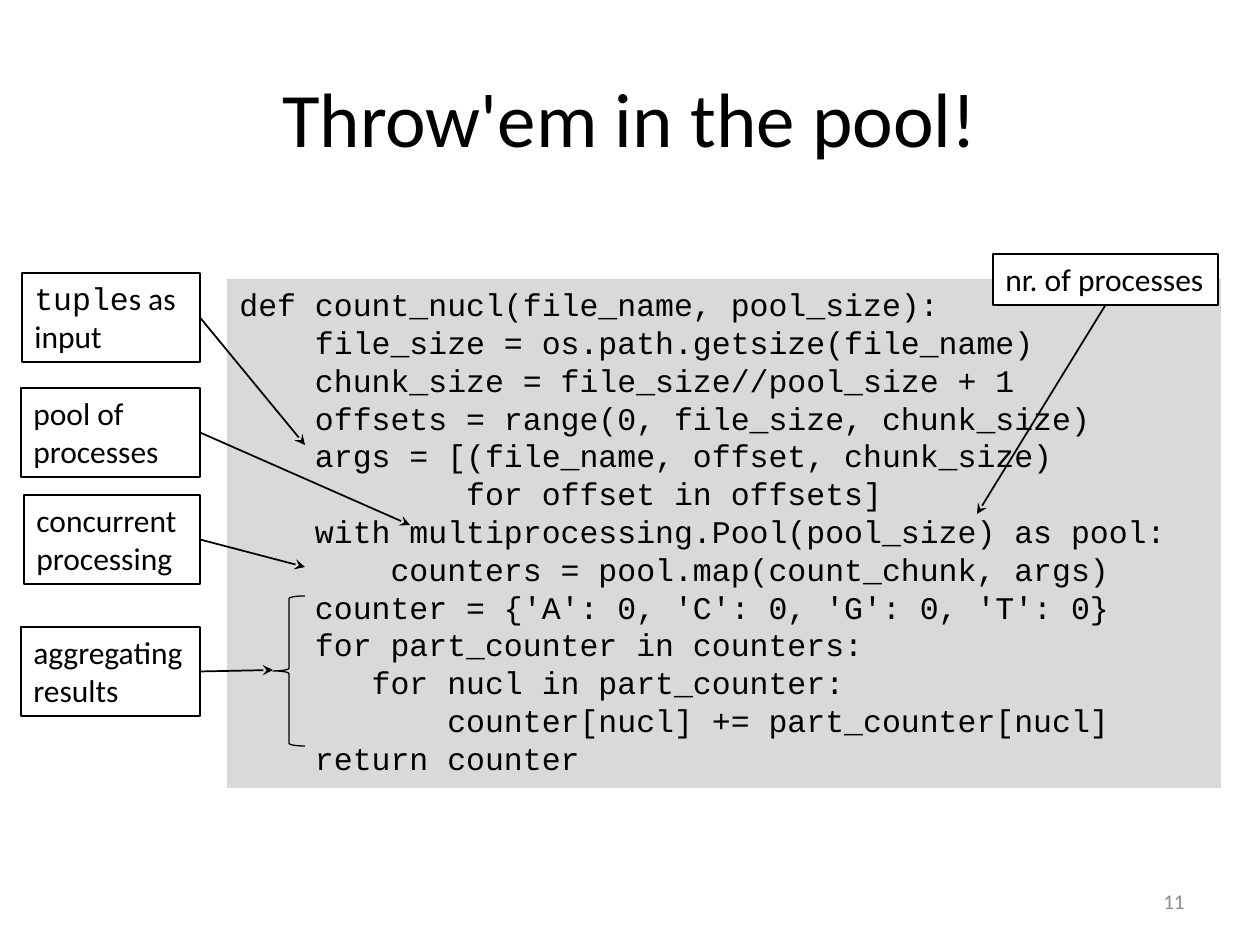
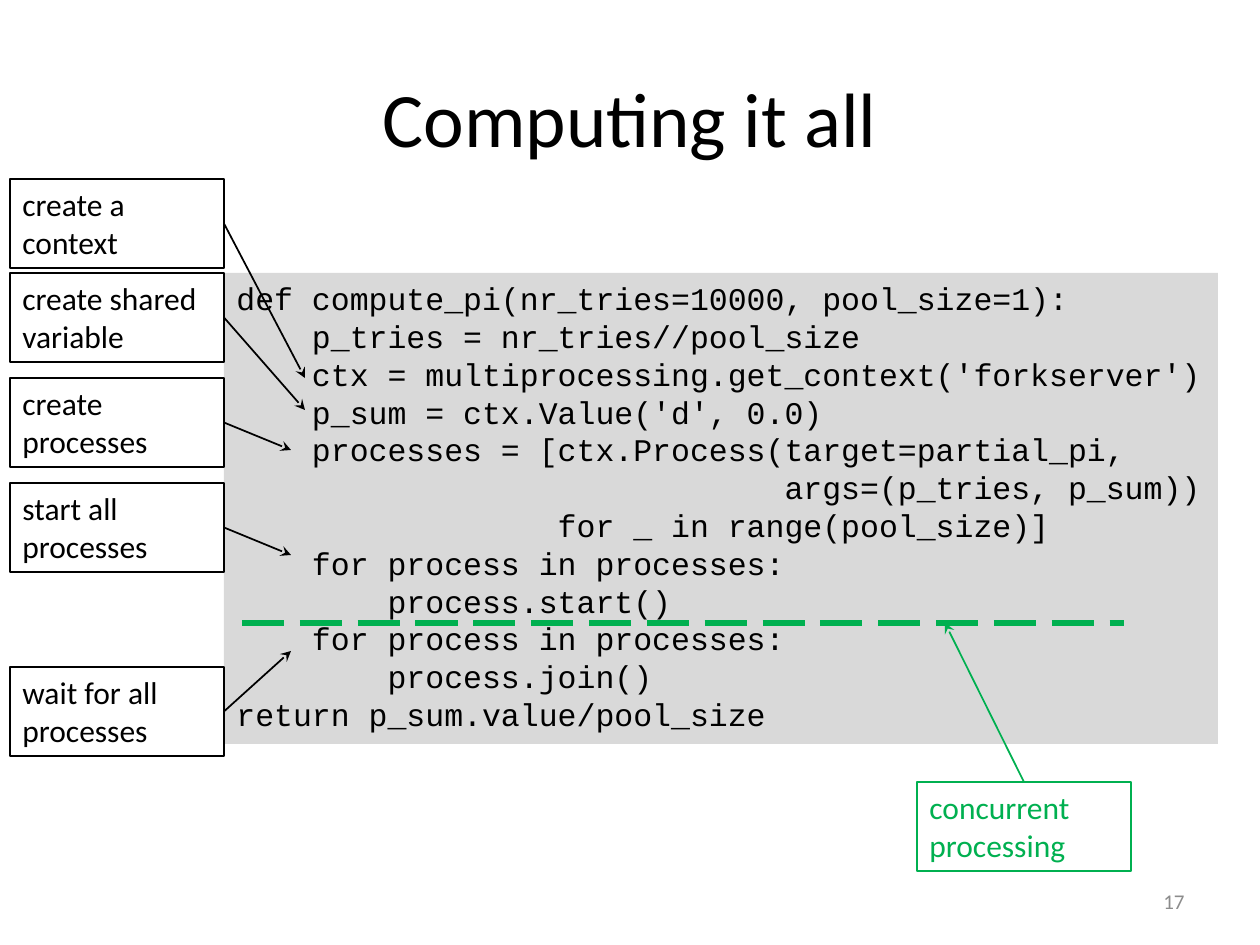
from lxml.etree import SubElement
from pptx import Presentation
from pptx.dml.color import RGBColor
from pptx.enum.dml import MSO_LINE
from pptx.enum.shapes import MSO_CONNECTOR, MSO_SHAPE
from pptx.enum.text import MSO_ANCHOR, MSO_AUTO_SIZE, PP_ALIGN
from pptx.oxml.ns import qn
from pptx.util import Emu, Pt

BLACK = RGBColor(0x00, 0x00, 0x00)
WHITE = RGBColor(0xFF, 0xFF, 0xFF)
GREEN = RGBColor(0x00, 0xB0, 0x50)
PANEL = RGBColor(0xD9, 0xD9, 0xD9)
MUTED = RGBColor(0x8C, 0x8C, 0x8C)

PROSE = "Calibri"
CODE = "Courier New"
PIXELS_PER_INCH = 126
TOP, BOTTOM, RIGHT = 0, 2, 3
CALLOUT_HEIGHT = 89


def px(*lengths):
    return [Emu(round(length * 914400 / PIXELS_PER_INCH)) for length in lengths]


class CodeDeck:
    def __init__(self):
        self.deck = Presentation()
        self.deck.slide_width, self.deck.slide_height = px(1260, 945)
        self.page = None

    def style(self, paragraph, size, name=PROSE, color=BLACK):
        for span in paragraph.runs:
            span.font.size = Pt(size)
            span.font.name = name
            span.font.color.rgb = color

    def new_page(self, title, number):
        self.page = self.deck.slides.add_slide(self.deck.slide_layouts[5])
        heading = self.page.shapes.title
        heading.left, heading.top, heading.width, heading.height = px(63, 38, 1134, 158)
        heading.text_frame.text = title
        heading.text_frame.vertical_anchor = MSO_ANCHOR.MIDDLE
        paragraph = heading.text_frame.paragraphs[0]
        paragraph.alignment = PP_ALIGN.CENTER
        self.style(paragraph, 44)

        footer = self.page.shapes.add_textbox(*px(903, 876, 294, 50)).text_frame
        footer.text = str(number)
        footer.vertical_anchor = MSO_ANCHOR.MIDDLE
        footer.paragraphs[0].alignment = PP_ALIGN.RIGHT
        self.style(footer.paragraphs[0], 12, color=MUTED)

    def code(self, left, top, width, height, source):
        box = self.page.shapes.add_textbox(*px(left, top, width, height))
        box.fill.solid()
        box.fill.fore_color.rgb = PANEL
        frame = box.text_frame
        frame.text = source.strip()
        frame.word_wrap = False
        frame.auto_size = MSO_AUTO_SIZE.SHAPE_TO_FIT_TEXT
        for paragraph in frame.paragraphs:
            self.style(paragraph, 18, CODE)

    def callout(self, left, top, width, text, height=CALLOUT_HEIGHT, color=BLACK,
                fill=None, wrap=True, keyword=""):
        box = self.page.shapes.add_textbox(*px(left, top, width, height))
        box.line.color.rgb = color
        box.line.width = Pt(0.75)
        if fill is not None:
            box.fill.solid()
            box.fill.fore_color.rgb = fill
        frame = box.text_frame
        frame.word_wrap = wrap
        frame.auto_size = MSO_AUTO_SIZE.SHAPE_TO_FIT_TEXT
        paragraph = frame.paragraphs[0]
        if keyword:
            paragraph.add_run().text = keyword
        for index, line in enumerate(text.split("\n")):
            if index:
                paragraph.add_line_break()
            paragraph.add_run().text = line
        self.style(paragraph, 18, color=color)
        if keyword:
            paragraph.runs[0].font.name = CODE
        return box

    def line(self, start, end, color=BLACK, width=1):
        line = self.page.shapes.add_connector(MSO_CONNECTOR.STRAIGHT, *px(*start, *end))
        line.line.color.rgb = color
        line.line.width = Pt(width)
        SubElement(line._element.spPr, qn("a:effectLst"))
        return line

    def arrow(self, box, site, end, color=BLACK):
        arrow = self.line(end, end, color)
        arrow.begin_connect(box, site)
        SubElement(arrow.line._get_or_add_ln(), qn("a:tailEnd"), type="stealth")

    def dashes(self, start, end, color):
        self.line(start, end, color, 3).line.dash_style = MSO_LINE.LONG_DASH

    def brace(self, left, top, width, height):
        brace = self.page.shapes.add_shape(MSO_SHAPE.LEFT_BRACE, *px(left, top, width, height))
        brace.shadow.inherit = False
        brace.fill.background()
        brace.line.color.rgb = BLACK
        brace.line.width = Pt(0.75)


POOL_SOURCE = """
def count_nucl(file_name, pool_size):
    file_size = os.path.getsize(file_name)
    chunk_size = file_size//pool_size + 1
    offsets = range(0, file_size, chunk_size)
    args = [(file_name, offset, chunk_size)
            for offset in offsets]
    with multiprocessing.Pool(pool_size) as pool:
        counters = pool.map(count_chunk, args)
    counter = {'A': 0, 'C': 0, 'G': 0, 'T': 0}
    for part_counter in counters:
       for nucl in part_counter:
           counter[nucl] += part_counter[nucl]
    return counter
"""

PI_SOURCE = """
def compute_pi(nr_tries=10000, pool_size=1):
    p_tries = nr_tries//pool_size
    ctx = multiprocessing.get_context('forkserver')
    p_sum = ctx.Value('d', 0.0)
    processes = [ctx.Process(target=partial_pi,
                             args=(p_tries, p_sum))
                 for _ in range(pool_size)]
    for process in processes:
        process.start()
    for process in processes:
        process.join()
return p_sum.value/pool_size
"""

POOL_CALLOUTS = [
    (22, 273, "tuple", "s as\ninput", (305, 445)),
    (21, 388, "", "pool of\nprocesses", (410, 525)),
    (24, 495, "", "concurrent\nprocessing", (305, 567)),
    (21, 627, "", "aggregating\nresults", (273, 670)),
]

PI_CALLOUTS = [
    (179, "create a\ncontext", (305, 378)),
    (273, "create shared\nvariable", (305, 410)),
    (378, "create\nprocesses", (291, 450)),
    (483, "start all\nprocesses", (291, 555)),
    (667, "wait for all\nprocesses", (291, 651)),
]

show = CodeDeck()

show.new_page("Throw'em in the pool!", 11)
show.code(227, 279, 994, 509, POOL_SOURCE)
for left, top, keyword, text, target in POOL_CALLOUTS:
    box = show.callout(left, top, 200 - left, text, keyword=keyword)
    show.arrow(box, RIGHT, target)
show.brace(273, 596, 32, 150)
box = show.callout(993, 254, 225, "nr. of processes", height=51, fill=WHITE, wrap=False)
show.arrow(box, BOTTOM, (977, 514))

show.new_page("Computing it all", 17)
show.code(224, 273, 994, 471, PI_SOURCE)
for top, text, target in PI_CALLOUTS:
    box = show.callout(10, top, 214, text)
    show.arrow(box, RIGHT, target)
show.dashes((242, 623), (1124, 623), GREEN)
box = show.callout(917, 782, 214, "concurrent\nprocessing", color=GREEN)
show.arrow(box, TOP, (945, 623), GREEN)

show.deck.save("out.pptx")
